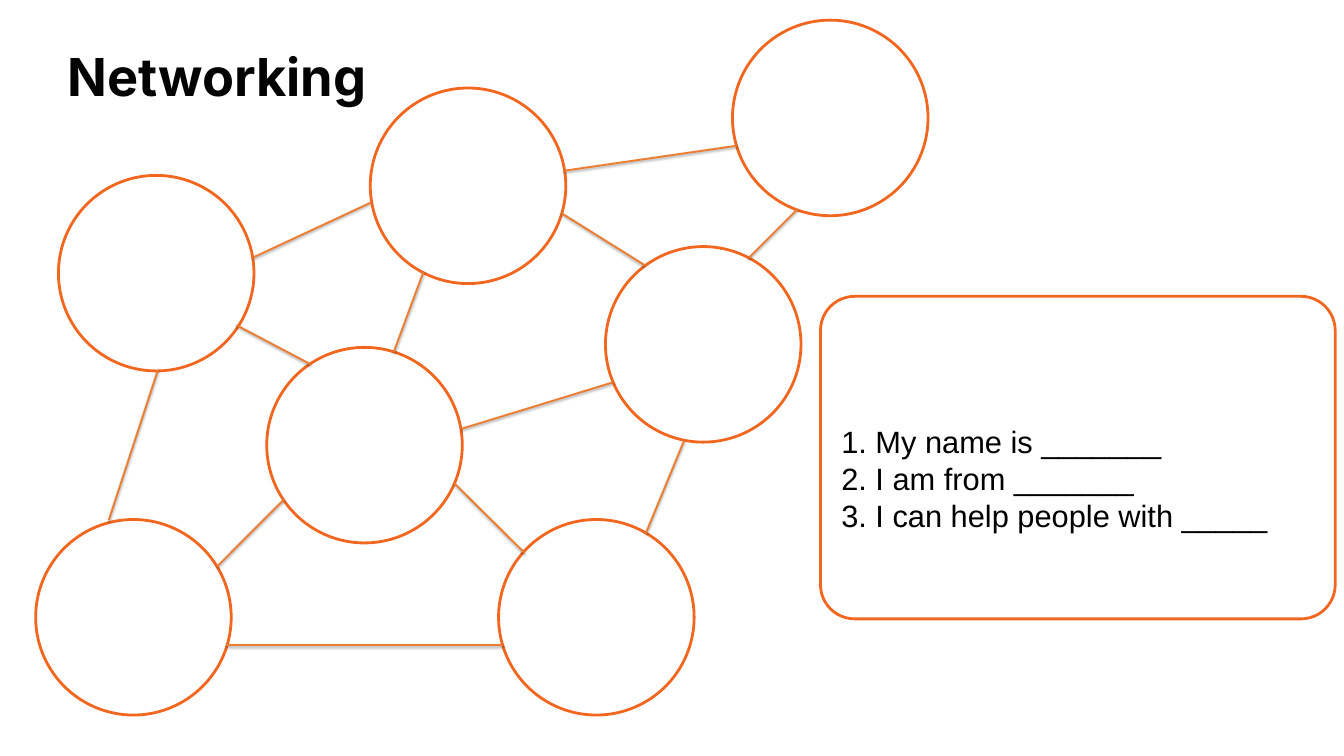
"""Build the Networking slide: linked empty circles beside an introduction prompt."""
from lxml import etree
from pptx import Presentation
from pptx.dml.color import RGBColor
from pptx.enum import shapes, text
from pptx.oxml import ns
from pptx.util import Pt

TITLE = "Networking"
PROMPTS = [
    "1. My name is _______",
    "2. I am from _______",
    "3. I can help people with _____",
]
DIAMETER = 209.5
CIRCLES = [
    (396.7, 94.3), (285.8, 372.2), (38.2, 556.6), (648.7, 264.2),
    (534.2, 556.6), (784.8, 21.6), (62.6, 187.9),
]
LINKS = [
    (271.4, 275.8, 396.7, 217.4),
    (116.6, 557.3, 169.2, 396.7),
    (604.8, 182.9, 789.1, 156.2),
    (242.6, 691.2, 539.3, 691.2),
    (691.9, 571.7, 733, 472.3),
    (494.6, 459.4, 656.6, 409.7),
    (232.6, 607, 303.8, 535.7),
    (253.4, 348.5, 332.6, 390.2),
    (486.7, 517.7, 562.3, 592.6),
    (601.2, 228.2, 691.2, 284.4),
    (453.6, 291.6, 421.9, 377.3),
    (854.6, 223.9, 802.1, 276.5),
]
TITLE_AREA = (72, 55.4, 963.4, 67)
CARD_AREA = (879.1, 317.5, 551.5, 345.6)
PROMPT_AREA = (897.8, 386.6, 513.4, 251.3)

ORANGE = RGBColor(0xF1, 0x67, 0x20)
LINK_ORANGE = RGBColor(0xED, 0x7D, 0x31)
INK = RGBColor(0x03, 0x03, 0x03)
BLACK = RGBColor(0, 0, 0)


def add_outline(slide, preset, area):
    outline = slide.shapes.add_shape(preset, *map(Pt, area))
    outline.shadow.inherit = False
    outline.fill.background()
    outline.line.color.rgb = ORANGE
    outline.line.width = Pt(3)
    return outline


def add_link(slide, ends):
    link = slide.shapes.add_connector(shapes.MSO_CONNECTOR.STRAIGHT, *map(Pt, ends))
    link.line.color.rgb = LINK_ORANGE
    link.line.width = Pt(2)
    effects = etree.SubElement(link._element.spPr, ns.qn("a:effectLst"))
    shadow = etree.SubElement(
        effects, ns.qn("a:outerShdw"), blurRad=str(Pt(3)), dist=str(Pt(1.6)),
        dir="5400000", rotWithShape="0")
    tone = etree.SubElement(shadow, ns.qn("a:srgbClr"), val="000000")
    etree.SubElement(tone, ns.qn("a:alpha"), val="38000")


def fill_placeholder(holder, area, wording, inset, anchor, face, size, colour, bold, spacing):
    holder.left, holder.top, holder.width, holder.height = map(Pt, area)
    frame = holder.text_frame
    frame.text = wording
    frame.word_wrap = True
    frame.auto_size = text.MSO_AUTO_SIZE.NONE
    frame.vertical_anchor = anchor
    frame.margin_left = frame.margin_right = Pt(inset)
    frame.margin_top = frame.margin_bottom = Pt(inset)
    for paragraph in frame.paragraphs:
        properties = paragraph._p.get_or_add_pPr()
        properties.set("marL", "0")
        properties.set("indent", "0")
        etree.SubElement(properties, ns.qn("a:buNone"))
        paragraph.alignment = text.PP_ALIGN.LEFT
        paragraph.line_spacing = spacing
        paragraph.space_before = Pt(0)
        for run in paragraph.runs:
            run.font.name = face
            run.font.size = Pt(size)
            run.font.bold = bold
            run.font.color.rgb = colour


def main():
    deck = Presentation()
    deck.slide_width, deck.slide_height = Pt(1440), Pt(810)
    slide = deck.slides.add_slide(deck.slide_layouts[1])
    fill_placeholder(slide.shapes.title, TITLE_AREA, TITLE, 0,
                     text.MSO_ANCHOR.TOP, "Inter", 56, INK, True, 0.9)
    fill_placeholder(slide.placeholders[1], PROMPT_AREA, "\n".join(PROMPTS), 3.6,
                     text.MSO_ANCHOR.MIDDLE, "Arial", 33, BLACK, False, 1.0)
    for left, top in CIRCLES:
        add_outline(slide, shapes.MSO_SHAPE.OVAL, (left, top, DIAMETER, DIAMETER))
    for ends in LINKS:
        add_link(slide, ends)
    card = add_outline(slide, shapes.MSO_SHAPE.ROUNDED_RECTANGLE, CARD_AREA)
    card.adjustments[0] = 0.106
    deck.save("out.pptx")


if __name__ == "__main__":
    main()
